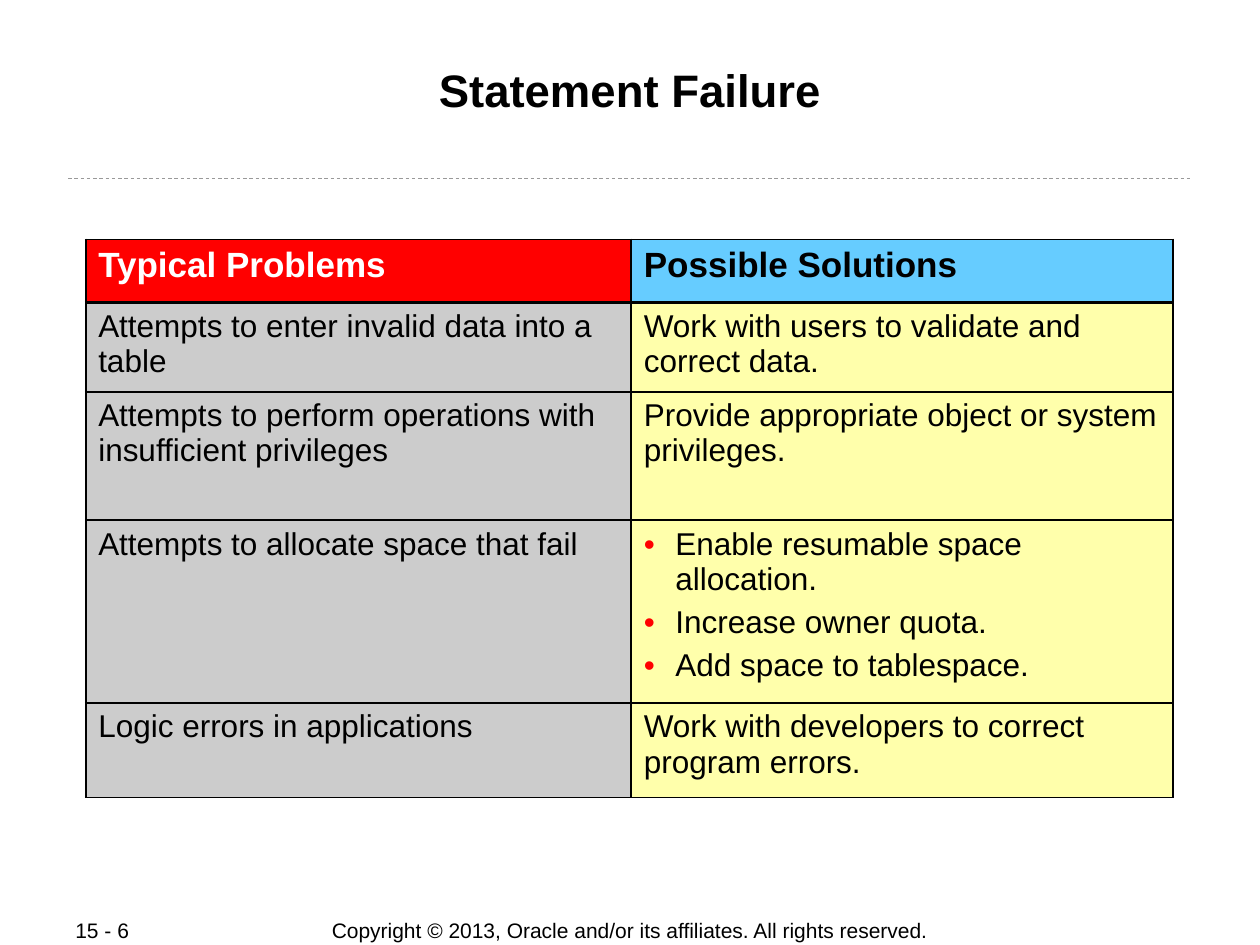
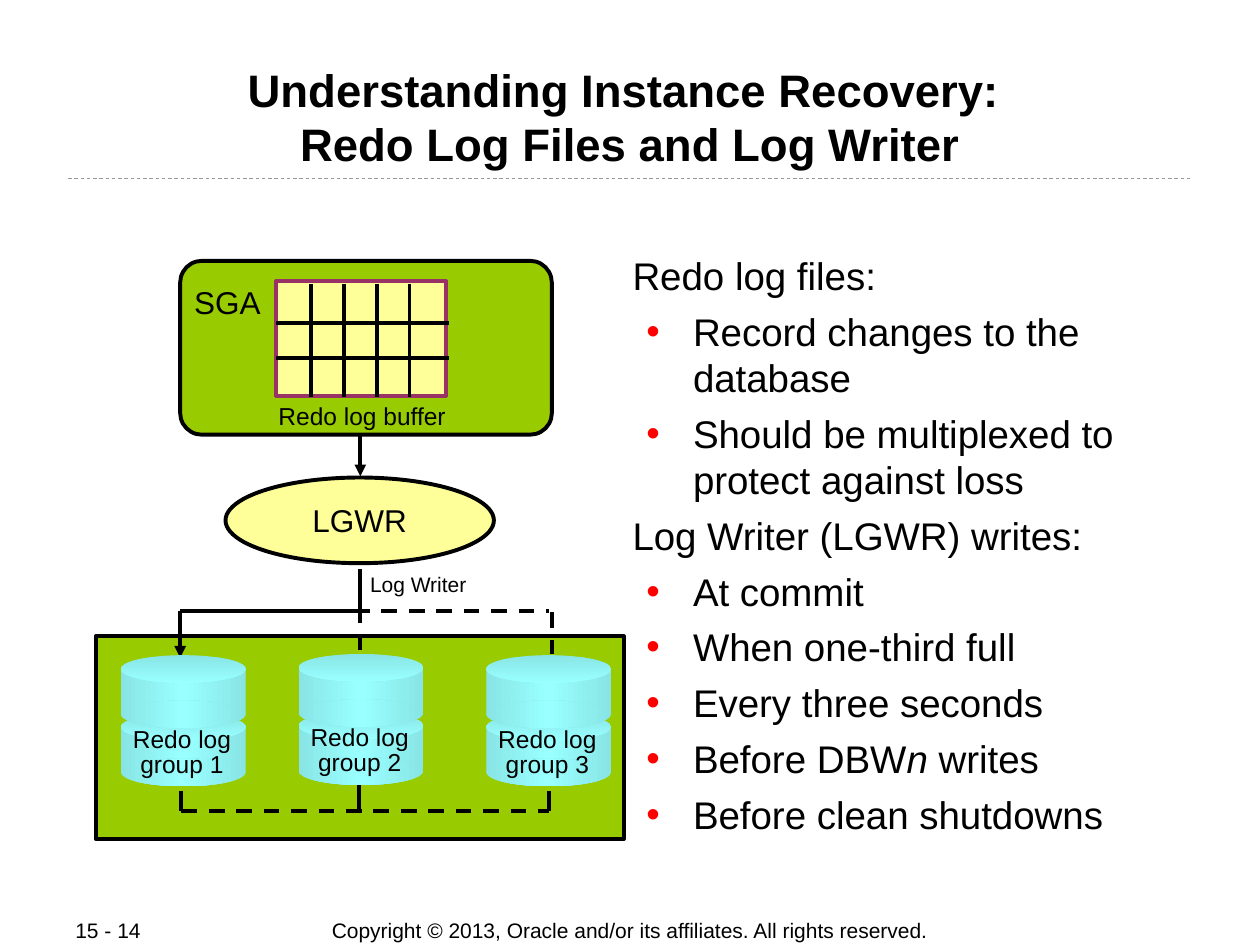
from copy import deepcopy

from lxml import etree
from pptx import Presentation
from pptx.dml.color import RGBColor
from pptx.enum import dml, shapes, text
from pptx.oxml.ns import qn
from pptx.util import Inches, Pt

FONT = "Arial"
BLACK, WHITE, RED, GREY = "000000", "FFFFFF", "FF0000", "999999"
GREEN, CREAM, PLUM = "99CC00", "FFFF99", "993366"
AQUA, DARK_AQUA = "99FFFF", "89E5E5"
LINE_WIDTH = 2.25
TITLE_ONLY = 5
COPYRIGHT = "Copyright © 2013, Oracle and/or its affiliates. All rights reserved."
CENTER, LEFT = text.PP_ALIGN.CENTER, text.PP_ALIGN.LEFT
SHAPE = shapes.MSO_SHAPE


def color(hex_string):
    return RGBColor.from_string(hex_string)


def add_bullet(p, margin, hang):
    pPr = p._p.get_or_add_pPr()
    pPr.set("marL", str(Inches(margin)))
    pPr.set("indent", str(-Inches(hang)))
    clr = etree.SubElement(pPr, qn("a:buClr"))
    etree.SubElement(clr, qn("a:srgbClr"), val=RED)
    etree.SubElement(pPr, qn("a:buFont"), typeface=FONT)
    etree.SubElement(pPr, qn("a:buChar"), char="•")


def write(tf, content, size=18, fill=BLACK, bold=False, align=LEFT, anchor="TOP",
          before=0, spacing=None, bullet=(0, 0)):
    """Fill a frame: "• " starts a bullet, *...* is italic, a newline breaks the line."""
    tf.vertical_anchor = getattr(text.MSO_ANCHOR, anchor)
    for i, item in enumerate([content] if isinstance(content, str) else content):
        p = tf.paragraphs[0] if i == 0 else tf.add_paragraph()
        p.alignment = align
        p.space_before = Pt(before if i else 0)
        if spacing:
            p.line_spacing = spacing
        if item.startswith("• "):
            item = item[2:]
            add_bullet(p, *bullet)
        for j, part in enumerate(item.split("*")):
            for k, line in enumerate(part.split("\n")):
                if k:
                    p.add_line_break()
                r = p.add_run()
                r.text = line
                r.font.name, r.font.size = FONT, Pt(size)
                r.font.bold, r.font.italic = bold, j % 2 == 1
                r.font.color.rgb = color(fill)


def set_margins(tf, x, y):
    tf.margin_left = tf.margin_right = Inches(x)
    tf.margin_top = tf.margin_bottom = Inches(y)


class Deck:
    def __init__(self):
        self.prs = Presentation()
        self.prs.slide_width, self.prs.slide_height = Inches(10), Inches(7.5)
        self.slide = None

    def new_slide(self, title, number):
        self.slide = self.prs.slides.add_slide(self.prs.slide_layouts[TITLE_ONLY])
        sp = self.slide.shapes.title
        sp.left, sp.top, sp.width, sp.height = map(Inches, (0.67, 0.48, 8.66, 0.96))
        sp.text_frame.auto_size = text.MSO_AUTO_SIZE.NONE
        set_margins(sp.text_frame, 0.01, 0.01)
        write(sp.text_frame, title, size=26, bold=True, align=CENTER)
        self.line(0.54, 1.42, 9.46, 1.42, stroke=GREY, width=0.5, dash=True)
        self.text(number, 0.5, 7.28, 1.06, 0.2, size=12, anchor="MIDDLE", wrap=False)
        self.text(COPYRIGHT, 2.3, 7.28, 5.4, 0.21, size=12, align=CENTER,
                  anchor="MIDDLE", wrap=False)

    def text(self, content, x, y, w, h, wrap=True, margins=(0.1, 0.05), **style):
        sp = self.slide.shapes.add_textbox(*map(Inches, (x, y, w, h)))
        sp.text_frame.word_wrap = wrap
        set_margins(sp.text_frame, *margins)
        write(sp.text_frame, content, **style)

    def shape(self, kind, x, y, w, h, fill=None, stroke=None):
        sp = self.slide.shapes.add_shape(kind, *map(Inches, (x, y, w, h)))
        sp.shadow.inherit = False
        if fill:
            sp.fill.solid()
            sp.fill.fore_color.rgb = color(fill)
        if stroke:
            sp.line.color.rgb = color(stroke)
            sp.line.width = Pt(LINE_WIDTH)
        else:
            sp.line.fill.background()
        return sp

    def gradient(self, kind, x, y, w, h, colors, angle=0):
        sp = self.shape(kind, x, y, w, h)
        sp.fill.gradient()
        sp.fill.gradient_angle = angle
        gs_list = sp._element.spPr.find(".//" + qn("a:gsLst"))
        while len(gs_list) < len(colors):
            gs_list.append(deepcopy(gs_list[0]))
        for i, (stop, c) in enumerate(zip(sp.fill.gradient_stops, colors)):
            stop.position = i / (len(colors) - 1)
            stop.color.rgb = color(c)

    def line(self, x1, y1, x2, y2, stroke=BLACK, width=LINE_WIDTH, dash=False, arrow=False):
        cn = self.slide.shapes.add_connector(
            shapes.MSO_CONNECTOR.STRAIGHT, *map(Inches, (x1, y1, x2, y2)))
        cn.line.color.rgb = color(stroke)
        cn.line.width = Pt(width)
        if dash:
            cn.line.dash_style = dml.MSO_LINE.DASH
        if arrow:
            etree.SubElement(cn.line._get_or_add_ln(), qn("a:tailEnd"), type="triangle")
        etree.SubElement(cn._element.spPr, qn("a:effectLst"))

    def table(self, x, y, widths, heights, rows, header_styles, body_fills):
        frame = self.slide.shapes.add_table(
            len(rows), len(widths), *map(Inches, (x, y, sum(widths), sum(heights))))
        tbl = frame.table
        tbl.first_row = tbl.horz_banding = False
        for col, w in zip(tbl.columns, widths):
            col.width = Inches(w)
        for i, (row, h) in enumerate(zip(rows, heights)):
            tbl.rows[i].height = Inches(h)
            for j, content in enumerate(row):
                cell = tbl.cell(i, j)
                self.borders(cell, top=2.21 if i == 1 else 1.08,
                             bottom=2.21 if i == 0 else 1.08)
                fill, ink = header_styles[j] if i == 0 else (body_fills[j], BLACK)
                cell.fill.solid()
                cell.fill.fore_color.rgb = color(fill)
                write(cell.text_frame, content, size=18 if i else 20, bold=i == 0,
                      fill=ink, before=4.5, bullet=(0.25, 0.25))

    def borders(self, cell, top, bottom):
        tcPr = cell._tc.get_or_add_tcPr()
        for side, width in (("L", 1.08), ("R", 1.08), ("T", top), ("B", bottom)):
            ln = etree.SubElement(tcPr, qn("a:ln" + side), w=str(Pt(width)))
            fill = etree.SubElement(ln, qn("a:solidFill"))
            etree.SubElement(fill, qn("a:srgbClr"), val=BLACK)

    def log_group(self, number, x, y):
        """Two stacked disks with a label."""
        across = (DARK_AQUA, AQUA, DARK_AQUA)
        for top in (y + 0.46, y):
            self.gradient(SHAPE.RECTANGLE, x, top + 0.12, 0.99, 0.35, across)
            self.gradient(SHAPE.OVAL, x, top, 0.99, 0.22, (DARK_AQUA, AQUA), angle=270)
            self.gradient(SHAPE.OVAL, x, top + 0.36, 0.99, 0.22, across)
        self.text(["Redo log", f"group {number}"], x - 0.15, y + 0.55, 1.27, 0.46,
                  margins=(0.06, 0.03), size=14, align=CENTER, spacing=0.85)


def statement_failure(deck):
    deck.new_slide("Statement Failure", "15 - 6")
    rows = [
        ("Typical Problems", "Possible Solutions"),
        ("Attempts to enter invalid data into a table",
         "Work with users to validate and correct data."),
        ("Attempts to perform operations with insufficient privileges",
         "Provide appropriate object or system privileges."),
        ("Attempts to allocate space that fail",
         ["• Enable resumable space\nallocation.", "• Increase owner quota.",
          "• Add space to tablespace."]),
        ("Logic errors in applications",
         "Work with developers to correct program errors."),
    ]
    deck.table(0.68, 1.9, (4.33, 4.3), (0.5, 0.71, 1.02, 1.45, 0.75), rows,
               header_styles=((RED, WHITE), ("66CCFF", BLACK)),
               body_fills=("CCCCCC", "FFFFAB"))


def instance_recovery(deck):
    deck.new_slide("Understanding Instance Recovery: \nRedo Log Files and Log Writer", "15 - 14")
    deck.shape(SHAPE.RECTANGLE, 0.76, 5.05, 4.19, 1.61, GREEN, BLACK)

    # Explanation
    deck.text(["Redo log files:",
               "• Record changes to the database",
               "• Should be multiplexed to protect against loss",
               "Log Writer (LGWR) writes:",
               "• At commit",
               "• When one-third full",
               "• Every three seconds",
               "• Before DBW*n* writes",
               "• Before clean shutdowns"],
              4.99, 1.99, 4.18, 4.69, margins=(0.03, 0.01), size=22, before=5.5,
              bullet=(0.48, 0.37))

    # Paths from the log writer to the groups
    for x, top in ((1.44, 6.28), (2.85, 6.21), (4.36, 6.28)):
        deck.line(x, top, x, 6.44)
    deck.line(1.44, 6.44, 4.36, 6.44, dash=True)
    deck.line(2.86, 3.45, 2.86, 3.78, arrow=True)
    deck.line(1.43, 4.85, 2.81, 4.85)
    deck.line(2.81, 4.85, 4.36, 4.85, dash=True)
    deck.line(1.43, 4.85, 1.43, 5.22, arrow=True)
    deck.line(4.38, 4.86, 4.38, 5.19, dash=True)

    # Redo log groups
    for number, x, y in ((1, 0.96, 5.2), (2, 2.37, 5.19), (3, 3.86, 5.2)):
        deck.log_group(number, x, y)
    deck.line(2.86, 4.82, 2.86, 5.21, dash=True)

    # SGA with the redo log buffer
    sga = deck.shape(SHAPE.ROUNDED_RECTANGLE, 1.43, 2.07, 2.95, 1.38, GREEN, BLACK)
    sga.adjustments[0] = 0.125
    deck.text("SGA", 1.44, 2.2, 0.73, 0.4, wrap=False, align=CENTER)
    deck.shape(SHAPE.RECTANGLE, 2.19, 2.23, 1.35, 0.91, CREAM, PLUM)
    for i in range(4):
        x = 2.47 + 0.26 * i
        deck.line(x, 2.25, x, 3.15)
    for y in (2.56, 2.84):
        deck.line(2.19, y, 3.56, y)
    deck.text("Redo log buffer", 2.11, 3.13, 1.53, 0.34, wrap=False, size=14, align=CENTER)

    # Log writer
    deck.line(2.86, 4.52, 2.86, 4.85)
    deck.text("Log Writer", 2.73, 4.49, 1.18, 0.3, size=12, align=CENTER)
    lgwr = deck.shape(SHAPE.OVAL, 1.79, 3.79, 2.13, 0.68, CREAM, BLACK)
    lgwr.text_frame.word_wrap = False
    write(lgwr.text_frame, "LGWR", align=CENTER, anchor="MIDDLE")


def main():
    deck = Deck()
    statement_failure(deck)
    instance_recovery(deck)
    deck.prs.save("out.pptx")


if __name__ == "__main__":
    main()
